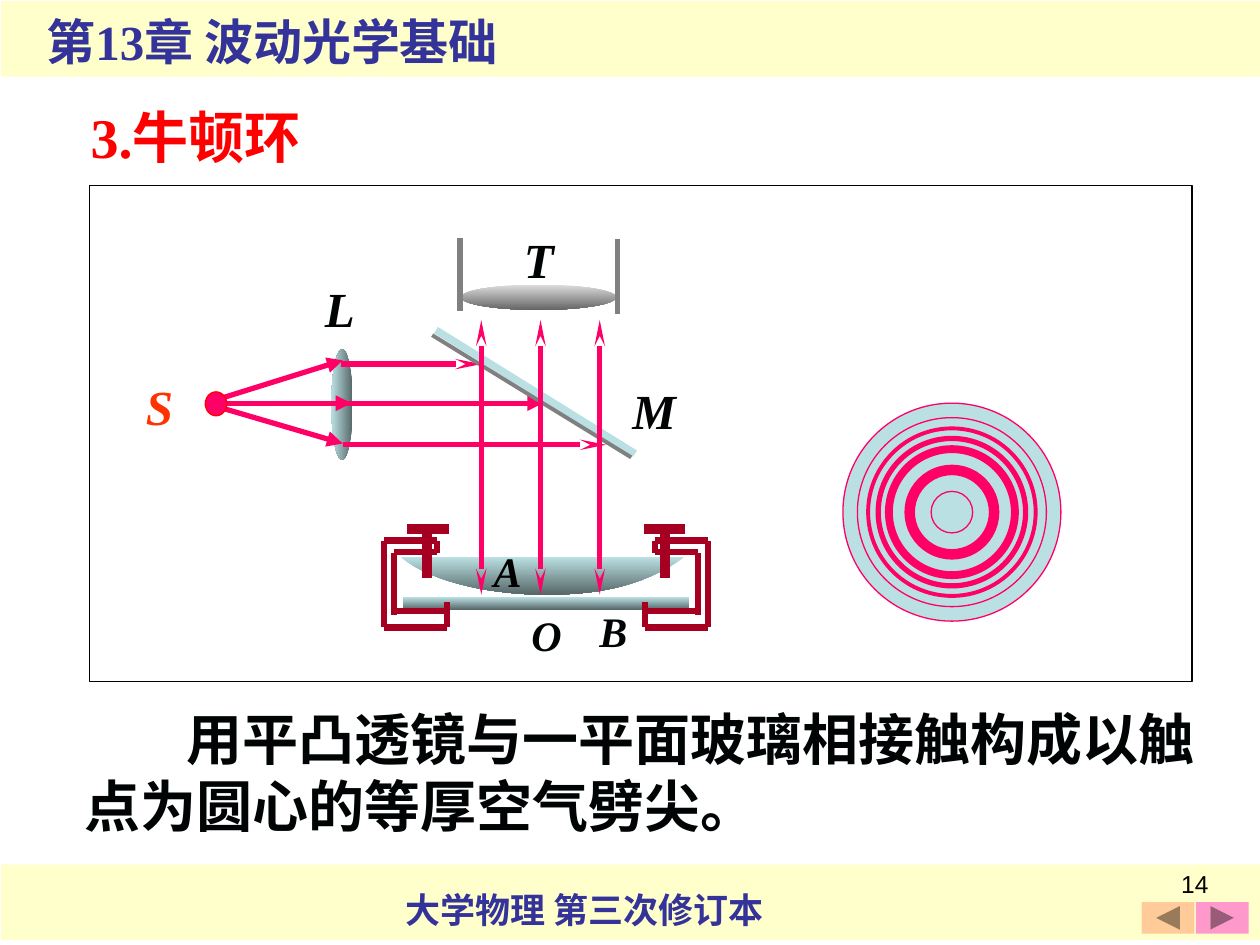
from dataclasses import dataclass
from typing import NamedTuple, Optional

from lxml import etree
from pptx import Presentation, util as u
from pptx.dml.color import RGBColor
from pptx.enum import shapes, text
from pptx.oxml import ns

COLS, ROWS = 100, 75
CELL = u.Inches(0.1)
PINK, GLASS, DARK, CLAMP = "FF0066", "BBE0E3", "566768", "A50021"
GREY, INK, NAVY, CREAM = "808080", "000404", "333399", "FFFFCC"
SERIF = "Times New Roman"
OVAL, RECT = shapes.MSO_SHAPE.OVAL, shapes.MSO_SHAPE.RECTANGLE


class Box(NamedTuple):
    col: float
    row: float
    cols: float
    rows: float


@dataclass
class Line:
    x1: float
    y1: float
    x2: float
    y2: float
    color: str
    width: float
    head: Optional[str] = None
    tail: Optional[str] = None


@dataclass
class Label:
    txt: str
    box: Box
    size: int = 28
    color: str = INK


def cells(n: float) -> u.Emu:
    return u.Emu(round(n * CELL))


def rgb(h: str) -> RGBColor:
    return RGBColor.from_string(h)


def place(sp, box: Box) -> None:
    sp.left, sp.top, sp.width, sp.height = map(cells, box)


def paint(sp, fill=None, line=None, width=0.75, angle=270) -> None:
    sp.shadow.inherit = False
    if fill is None:
        sp.fill.background()
    elif isinstance(fill, tuple):
        sp.fill.gradient()
        sp.fill.gradient_angle = angle
        for stop, color in zip(sp.fill.gradient_stops, fill):
            stop.color.rgb = rgb(color)
    else:
        sp.fill.solid()
        sp.fill.fore_color.rgb = rgb(fill)
    if line:
        sp.line.color.rgb = rgb(line)
        sp.line.width = u.Pt(width)
    else:
        sp.line.fill.background()


def add_shape(s, kind, box: Box, **look) -> None:
    sp = s.shapes.add_shape(kind, *map(cells, box))
    paint(sp, **look)


def add_line(s, ln: Line) -> None:
    ends = map(cells, (ln.x1, ln.y1, ln.x2, ln.y2))
    c = s.shapes.add_connector(shapes.MSO_CONNECTOR.STRAIGHT, *ends)
    c.line.color.rgb = rgb(ln.color)
    c.line.width = u.Pt(ln.width)
    props = c.line._get_or_add_ln()
    for tag, kind in (("a:headEnd", ln.head), ("a:tailEnd", ln.tail)):
        if kind:
            w, length = ("sm", "lg") if kind == "stealth" else ("med", "med")
            etree.SubElement(props, ns.qn(tag), type=kind, w=w, len=length)
    etree.SubElement(c._element.spPr, ns.qn("a:effectLst"))


def write(sp, txt: str, size: int, color: str, font=SERIF, bold=True, italic=False,
          align=text.PP_ALIGN.LEFT, indent=0.0) -> None:
    tf = sp.text_frame
    tf.word_wrap = True
    tf.auto_size = text.MSO_AUTO_SIZE.NONE
    tf.vertical_anchor = text.MSO_ANCHOR.TOP
    p = tf.paragraphs[0]
    p.alignment = align
    p.space_before = u.Pt(0)
    if indent:
        p._p.get_or_add_pPr().set("indent", str(cells(indent)))
    r = p.add_run()
    r.text = txt
    f = r.font
    f.name, f.size, f.bold, f.italic = font, u.Pt(size), bold, italic
    f.color.rgb = rgb(color)


def add_text(s, txt: str, box: Box, size: int, color: str, **fmt) -> None:
    write(s.shapes.add_textbox(*map(cells, box)), txt, size, color, **fmt)


def add_label(s, lb: Label) -> None:
    add_text(s, lb.txt, lb.box, lb.size, lb.color, italic=True)


def bezier(p0, p1, p2, p3, n=16):
    for i in range(1, n + 1):
        t = i / n
        yield tuple((1 - t) ** 3 * a + 3 * t * (1 - t) ** 2 * b + 3 * t * t * (1 - t) * c + t ** 3 * d
                    for a, b, c, d in zip(p0, p1, p2, p3))


def add_convex_lens(s) -> None:
    left, bottom, right = (31.8, 44.2), (43.3, 47.2), (54.3, 44.2)
    pts = [*bezier(left, (34.5, 46.4), (39.5, 47.2), bottom),
           *bezier(bottom, (47, 47.2), (50.9, 46.7), right)]
    fb = s.shapes.build_freeform(*map(cells, left), scale=1.0)
    fb.add_line_segments([(cells(x), cells(y)) for x, y in pts], close=True)
    paint(fb.convert_to_shape(), fill=(GLASS, DARK))


def add_rings(s) -> None:
    cx, cy = 75.55, 40.65
    rings = [(17.3, 0.75, GLASS), (3.3, 0.75, None), (6.7, 6, None), (10, 4.5, None),
             (11.7, 3, None), (13.3, 2.25, None), (15, 0.75, None)]
    for d, width, fill in rings:
        add_shape(s, OVAL, Box(cx - d / 2, cy - d / 2, d, d), fill=fill, line=PINK, width=width)


def add_clamps(s) -> None:
    mirror = 86.7
    bracket = [(52, 42.9, 56.2, 42.9), (52, 43.8, 55.4, 43.8), (52, 42.9, 52, 43.9),
               (55.4, 43.9, 55.4, 48.8), (56.2, 42.9, 56.2, 49.8), (51.2, 49.8, 56.2, 49.8),
               (51.2, 49.8, 51.2, 47.8), (51.2, 48.5, 55.4, 48.5)]
    screw = [(52.8, 42, 52.8, 45.9), (51.1, 42, 54.4, 42)]
    for width, parts in ((3.5, bracket), (5.5, screw)):
        for x1, y1, x2, y2 in parts:
            add_line(s, Line(x1, y1, x2, y2, CLAMP, width))
            add_line(s, Line(mirror - x1, y1, mirror - x2, y2, CLAMP, width))


def add_apparatus(s) -> None:
    add_shape(s, OVAL, Box(36.6, 22.6, 12.3, 2), fill=("DDDDDD", "656565"))
    for ln in (Line(49, 19, 49, 24.9, GREY, 3.25), Line(36.5, 18.9, 36.5, 24.7, GREY, 3.25),
               Line(34.6, 26.2, 50.4, 36, GLASS, 4.25)):
        add_line(s, ln)
    add_shape(s, OVAL, Box(26.3, 27.7, 1.7, 8.8), fill=(DARK, GLASS), angle=180)
    rays = [(16.3, 32, 27.9, 32, "triangle"), (25.9, 32, 43.1, 32, "triangle"),
            (27.1, 28.9, 38.2, 28.9, "stealth"), (27.2, 35.3, 48.1, 35.3, "stealth"),
            (16.3, 32, 27.2, 28.6, "triangle"), (16.3, 32, 27.2, 35.2, "triangle")]
    for *ends, tail in rays:
        add_line(s, Line(*ends, PINK, 3, tail=tail))
    add_shape(s, OVAL, Box(16.3, 31.1, 1.7, 1.9), fill=PINK, line="FF0000")
    add_shape(s, RECT, Box(32, 47.4, 22.7, 1), fill=(GLASS, DARK))
    add_convex_lens(s)
    add_clamps(s)
    for lb in (Label("S", Box(10.6, 29.4, 3.9, 5.7), color="FF3300"),
               Label("M", Box(49.2, 29.7, 5.5, 5.7)),
               Label("T", Box(40.6, 17.7, 5.5, 5.7)),
               Label("L", Box(24.8, 21.6, 5.5, 5.7)),
               Label("A", Box(38.2, 42.8, 5.5, 5), 24, "000000"),
               Label("B", Box(46.6, 47.6, 6.3, 5), 24),
               Label("O", Box(41.2, 47.9, 6.3, 5), 24)):
        add_label(s, lb)
    add_line(s, Line(34.3, 26.6, 50.1, 36.3, GREY, 2.25))
    for x in (38.2, 42.9, 47.6):
        add_line(s, Line(x, 25.4, x, 47.2, PINK, 3, "stealth", "stealth"))


def add_page_furniture(s) -> None:
    for row in (0.1, 68.6):
        add_shape(s, RECT, Box(0.1, row, 99.9, 6), fill=CREAM)
    add_text(s, "大学物理 第三次修订本", Box(31.2, 70, 31.2, 4.4), 20, NAVY)
    add_text(s, "第13章 波动光学基础", Box(2.7, 0.4, 44.6, 5.7), 28, NAVY)
    button = shapes.MSO_SHAPE
    for kind, col, fill in ((button.ACTION_BUTTON_FORWARD_OR_NEXT, 94.9, "FF99CC"),
                            (button.ACTION_BUTTON_BACK_OR_PREVIOUS, 90.6, "FFCC99")):
        add_shape(s, kind, Box(col, 71.6, 4.2, 2.5), fill=fill)
    add_text(s, "14", Box(73.6, 68.5, 23.3, 5.2), 14, "000000", font="Arial", bold=False,
             align=text.PP_ALIGN.RIGHT)


def main() -> None:
    prs = Presentation()
    prs.slide_width, prs.slide_height = cells(COLS), cells(ROWS)
    s = prs.slides.add_slide(prs.slide_layouts[5])
    place(s.shapes.title, Box(6.2, 7.6, 23.8, 6.4))
    write(s.shapes.title, "3.牛顿环", 32, "FF0000")
    add_page_furniture(s)
    add_shape(s, RECT, Box(7.1, 14.7, 87.5, 39.4), fill="FFFFFF", line=INK)
    add_rings(s)
    add_apparatus(s)
    add_text(s, "用平凸透镜与一平面玻璃相接触构成以触点为圆心的等厚空气劈尖。",
             Box(5.7, 55.4, 92.4, 11.7), 32, INK, indent=8.1)
    prs.save("out.pptx")


if __name__ == "__main__":
    main()
